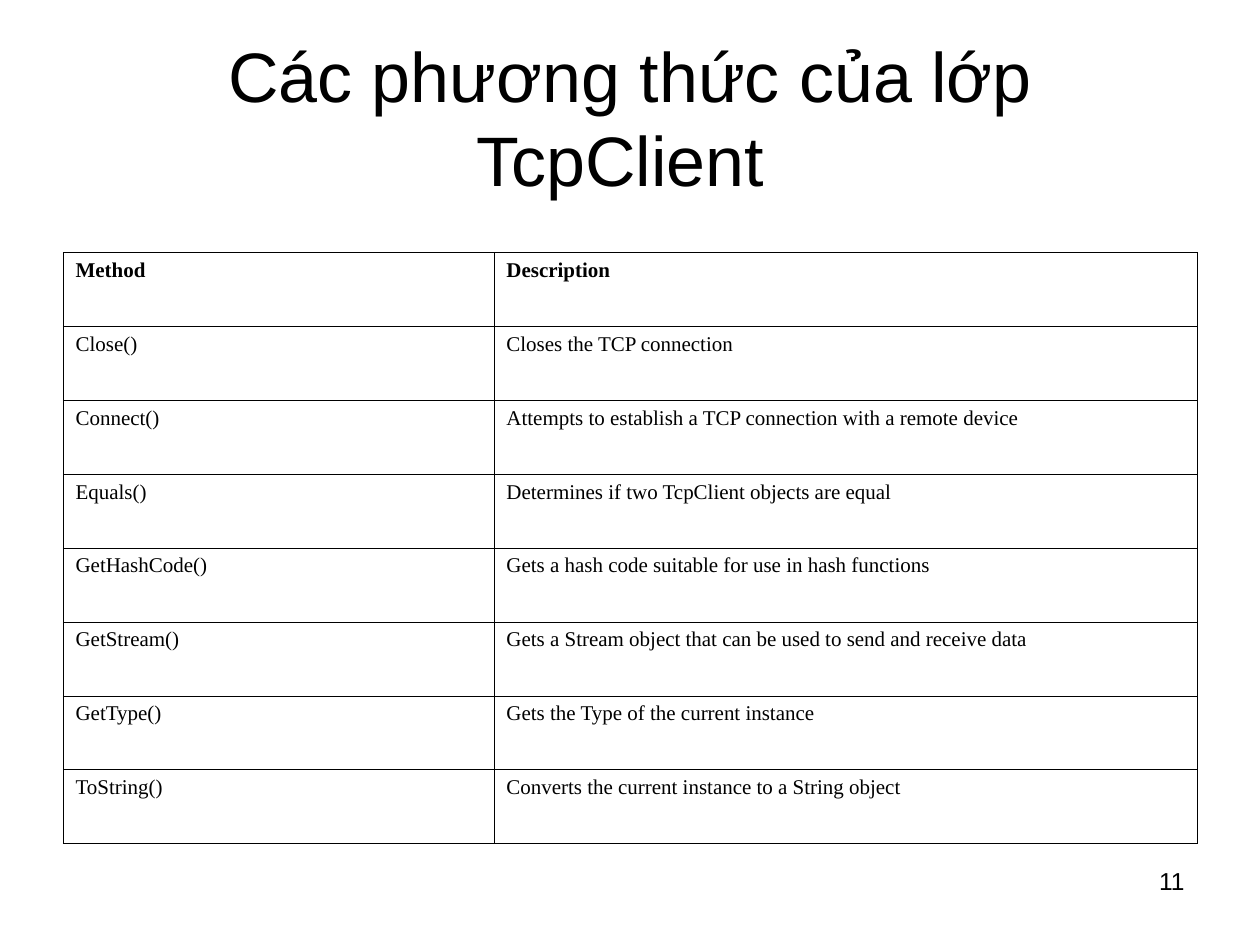
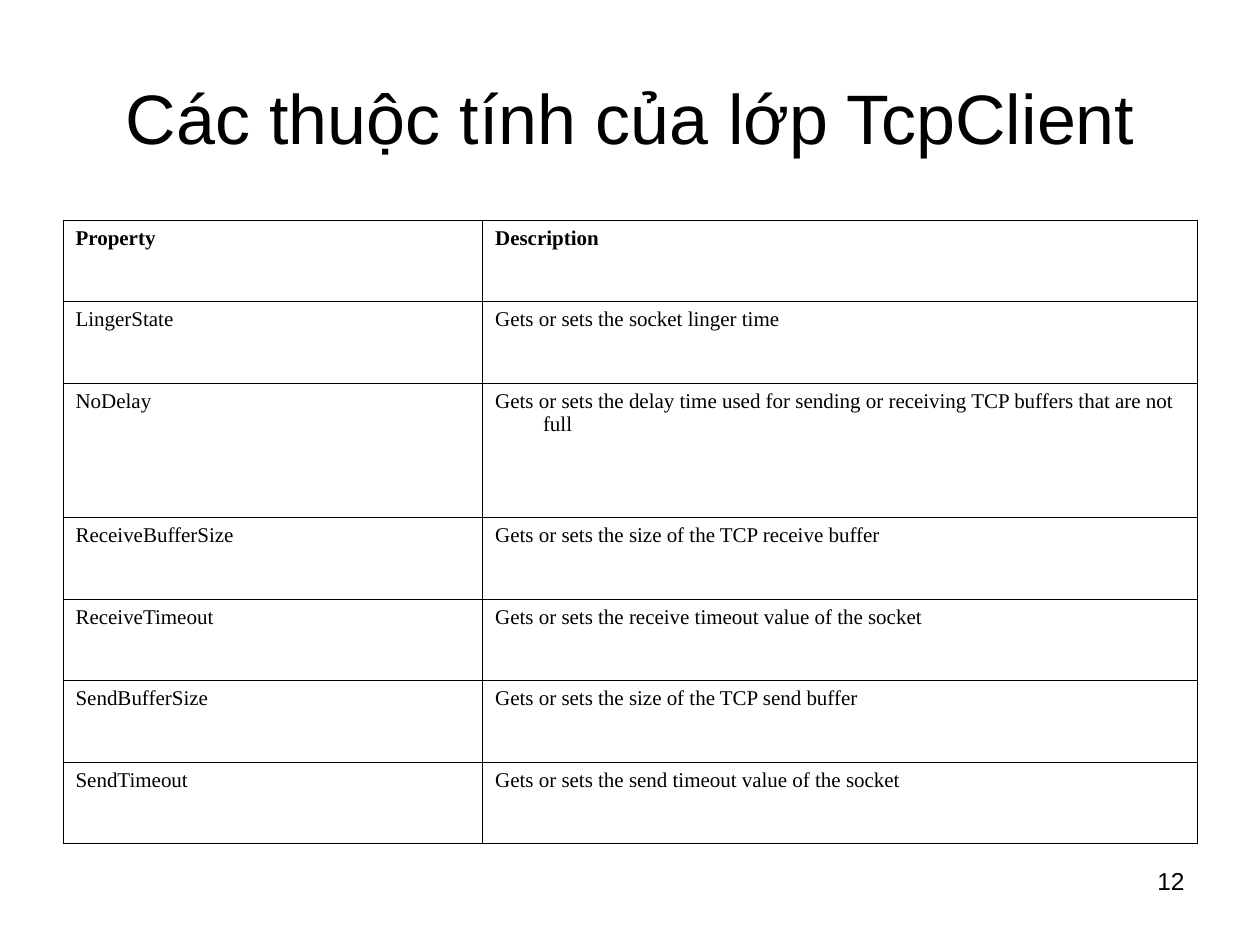
import pptx
import pptx.util
import pptx.dml.color
import pptx.enum.text
import pptx.oxml
import pptx.oxml.ns
import lxml.etree

COLORS = {"ink": "000000", "paper": "FFFFFF"}
HEADING_FONT, TABLE_FONT = "Arial", "Times New Roman"
MARGIN, CONTENT = 0.05, 0.9
TABLE_BOTTOM = 0.893

METHODS = [
    ("Method", "Description"),
    ("Close()", "Closes the TCP connection"),
    ("Connect()", "Attempts to establish a TCP connection with a remote device"),
    ("Equals()", "Determines if two TcpClient objects are equal"),
    ("GetHashCode()", "Gets a hash code suitable for use in hash functions"),
    ("GetStream()", "Gets a Stream object that can be used to send and receive data"),
    ("GetType()", "Gets the Type of the current instance"),
    ("ToString()", "Converts the current instance to a String object"),
]

PROPERTIES = [
    ("Property", "Description"),
    ("LingerState", "Gets or sets the socket linger time"),
    ("NoDelay", "Gets or sets the delay time used for sending or receiving TCP buffers that are not full"),
    ("ReceiveBufferSize", "Gets or sets the size of the TCP receive buffer"),
    ("ReceiveTimeout", "Gets or sets the receive timeout value of the socket"),
    ("SendBufferSize", "Gets or sets the size of the TCP send buffer"),
    ("SendTimeout", "Gets or sets the send timeout value of the socket"),
]


class Deck:
    def __init__(self):
        self.prs = pptx.Presentation()
        self.prs.slide_width = pptx.util.Inches(10)
        self.prs.slide_height = pptx.util.Inches(7.5)
        self.s = None

    def x(self, share):
        return round(self.prs.slide_width * share)

    def y(self, share):
        return round(self.prs.slide_height * share)

    def slide(self):
        self.s = self.prs.slides.add_slide(self.prs.slide_layouts[5])
        fill = self.s.background.fill
        fill.solid()
        fill.fore_color.rgb = pptx.dml.color.RGBColor.from_string(COLORS["paper"])

    def style(self, p, font, size, bold=False, align=pptx.enum.text.PP_ALIGN.LEFT):
        p.alignment = align
        for r in p.runs:
            r.font.name = font
            r.font.size = pptx.util.Pt(size)
            r.font.bold = bold
            r.font.color.rgb = pptx.dml.color.RGBColor.from_string(COLORS["ink"])

    def title(self, text):
        sp = self.s.shapes.title
        sp.left, sp.top = self.x(MARGIN), self.y(0.04)
        sp.width, sp.height = self.x(CONTENT), self.y(0.167)
        tf = sp.text_frame
        tf.text = text
        tf.word_wrap = True
        tf.auto_size = pptx.enum.text.MSO_AUTO_SIZE.NONE
        tf.vertical_anchor = pptx.enum.text.MSO_ANCHOR.MIDDLE
        self.style(tf.paragraphs[0], HEADING_FONT, 40, align=pptx.enum.text.PP_ALIGN.CENTER)

    def borders(self, cell):
        tc_pr = cell._tc.get_or_add_tcPr()
        for index, side in enumerate(("lnL", "lnR", "lnT", "lnB")):
            ln = pptx.oxml.parse_xml(
                f'<a:{side} {pptx.oxml.ns.nsdecls("a")} w="{pptx.util.Pt(0.34)}">'
                f'<a:solidFill><a:srgbClr val="{COLORS["ink"]}"/></a:solidFill></a:{side}>')
            tc_pr.insert(index, ln)

    def cell(self, cell, text, bold):
        cell.text = text
        cell.fill.background()
        self.borders(cell)
        p = cell.text_frame.paragraphs[0]
        self.style(p, TABLE_FONT, 12, bold)
        indent = pptx.util.Inches(0.38)
        p_pr = p._p.get_or_add_pPr()
        p_pr.set("marL", str(indent))
        p_pr.set("indent", str(-indent))

    def table(self, rows, top, first_column, tall_rows=()):
        height = TABLE_BOTTOM - top
        weights = [1.65 if name in tall_rows else 1 for name, _ in rows]
        table = self.s.shapes.add_table(
            len(rows), 2, self.x(MARGIN), self.y(top), self.x(CONTENT), self.y(height)).table
        table.first_row = table.horz_banding = False
        for column, share in zip(table.columns, (first_column, 1 - first_column)):
            column.width = self.x(CONTENT * share)
        for i, (texts, weight) in enumerate(zip(rows, weights)):
            table.rows[i].height = self.y(height * weight / sum(weights))
            for j, text in enumerate(texts):
                self.cell(table.cell(i, j), text, bold=i == 0)

    def page_number(self, number):
        sp = self.s.shapes.add_textbox(self.x(0.717), self.y(0.91), self.x(0.233), self.y(0.07))
        tf = sp.text_frame
        tf.word_wrap = True
        tf.text = str(number)
        self.style(tf.paragraphs[0], HEADING_FONT, 14, align=pptx.enum.text.PP_ALIGN.RIGHT)


def main():
    deck = Deck()
    pages = [
        ("Các phương thức của lớp TcpClient ", METHODS, 0.267, 0.38, ()),
        ("Các thuộc tính của lớp TcpClient", PROPERTIES, 0.233, 0.37, ("NoDelay",)),
    ]
    for number, (title, rows, top, first_column, tall_rows) in enumerate(pages, 11):
        deck.slide()
        deck.title(title)
        deck.table(rows, top, first_column, tall_rows)
        deck.page_number(number)
    deck.prs.save("out.pptx")


if __name__ == "__main__":
    main()
